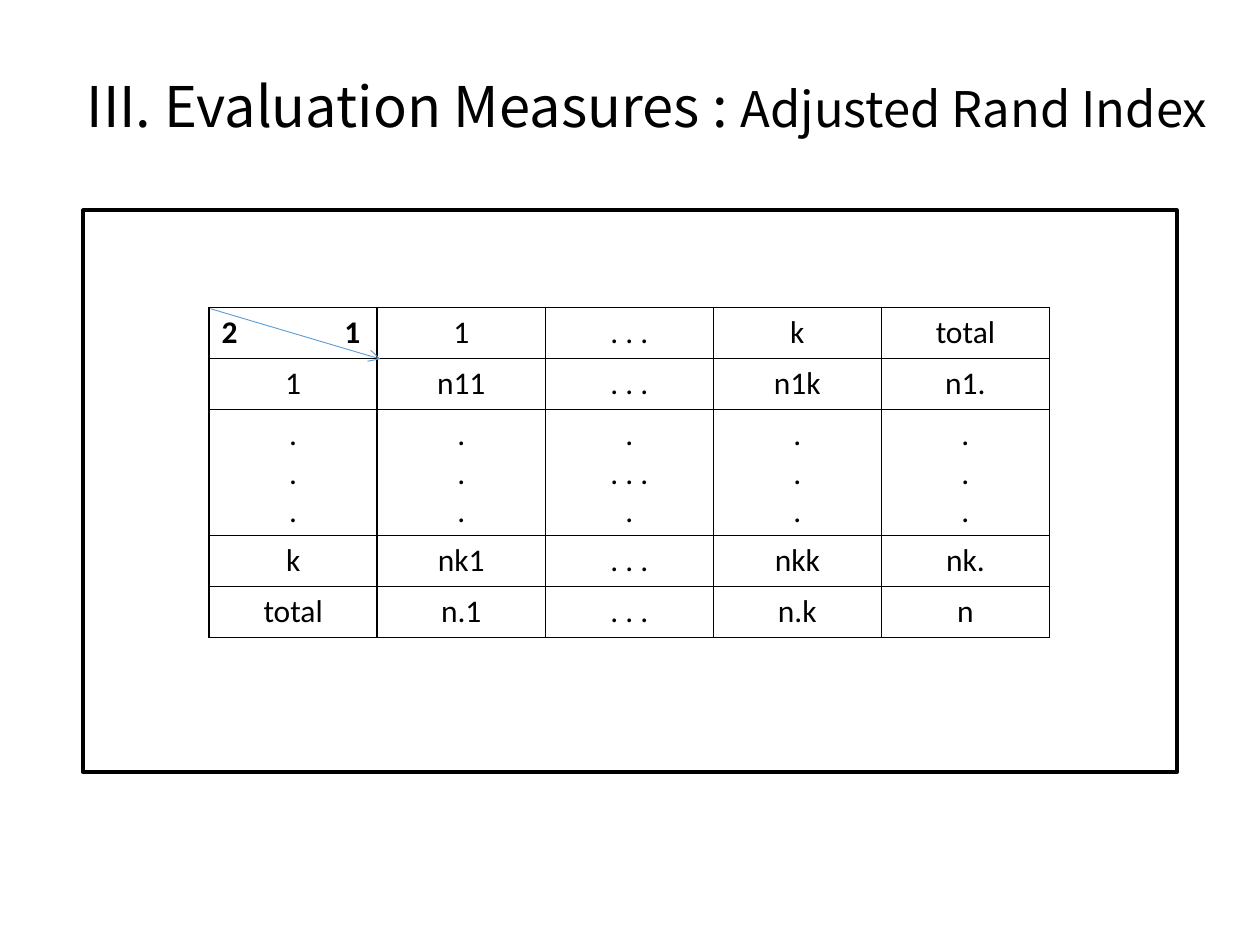
import pptx
import pptx.util
import pptx.dml.color
import pptx.enum.shapes
import pptx.enum.text
import pptx.oxml.ns
from lxml import etree

Inches, Pt = pptx.util.Inches, pptx.util.Pt
qn = pptx.oxml.ns.qn

# Content
TITLE = [("III. Evaluation Measures : ", 32), ("Adjusted Rand Index", 28)]
DOTS = ". . ."
COLUMN_DOTS = ".\n.\n."
CONTINGENCY = [
    ["2\t1", "1", DOTS, "k", "total"],
    ["1", "n11", DOTS, "n1k", "n1."],
    [COLUMN_DOTS, COLUMN_DOTS, f".\n{DOTS}\n.", COLUMN_DOTS, COLUMN_DOTS],
    ["k", "nk1", DOTS, "nkk", "nk."],
    ["total", "n.1", DOTS, "n.k", "n"],
]
COLORS = {"ink": "000000", "paper": "FFFFFF", "arrow": "5B9BD5"}
TABLE_LEFT, TABLE_TOP, TABLE_WIDTH = 1.66, 2.44, 6.67
ROW_HEIGHTS = [0.405, 0.405, 1.0, 0.405, 0.405]
COLUMN_WIDTH = TABLE_WIDTH / len(CONTINGENCY[0])


def color(name):
    return pptx.dml.color.RGBColor.from_string(COLORS[name])


def add_cell_borders(cell):
    properties = cell._tc.get_or_add_tcPr()
    for index, side in enumerate(("lnL", "lnR", "lnT", "lnB")):
        line = etree.Element(qn(f"a:{side}"), w=str(Pt(1)))
        fill = etree.SubElement(line, qn("a:solidFill"))
        etree.SubElement(fill, qn("a:srgbClr"), val=COLORS["ink"])
        properties.insert(index, line)


presentation = pptx.Presentation()
presentation.slide_width, presentation.slide_height = Inches(10), Inches(7.5)
slide = presentation.slides.add_slide(presentation.slide_layouts[6])

# Title
title = slide.shapes.add_textbox(Inches(0.59), Inches(0.52), Inches(9.14), Inches(0.64))
title.text_frame.word_wrap = True
title.text_frame.auto_size = pptx.enum.text.MSO_AUTO_SIZE.SHAPE_TO_FIT_TEXT
paragraph = title.text_frame.paragraphs[0]
paragraph.font.name = "Noto Sans CJK KR"
paragraph.font.color.rgb = color("ink")
for text, size in TITLE:
    run = paragraph.add_run()
    run.text = text
    run.font.size = Pt(size)

# Frame
frame = slide.shapes.add_shape(pptx.enum.shapes.MSO_SHAPE.RECTANGLE,
                               Inches(0.66), Inches(1.67), Inches(8.68), Inches(4.46))
frame.shadow.inherit = False
frame.fill.background()
frame.line.color.rgb = color("ink")
frame.line.width = Pt(2.25)

# Contingency table
table = slide.shapes.add_table(len(CONTINGENCY), len(CONTINGENCY[0]),
                               Inches(TABLE_LEFT), Inches(TABLE_TOP),
                               Inches(TABLE_WIDTH), Inches(sum(ROW_HEIGHTS))).table
table.first_row = table.horz_banding = False
for column in table.columns:
    column.width = Inches(COLUMN_WIDTH)
for row, height, texts in zip(table.rows, ROW_HEIGHTS, CONTINGENCY):
    row.height = Inches(height)
    for cell, text in zip(row.cells, texts):
        cell.text = text
        cell.fill.solid()
        cell.fill.fore_color.rgb = color("paper")
        add_cell_borders(cell)
        for paragraph in cell.text_frame.paragraphs:
            paragraph.alignment = pptx.enum.text.PP_ALIGN.CENTER
            paragraph.font.name = "Calibri"
            paragraph.font.size = Pt(18)
            paragraph.font.color.rgb = color("ink")

# Corner cell: both labels on one line, the second at a right tab
corner = table.cell(0, 0).text_frame.paragraphs[0]
corner.alignment = pptx.enum.text.PP_ALIGN.LEFT
corner.font.bold = True
tabs = etree.Element(qn("a:tabLst"))
etree.SubElement(tabs, qn("a:tab"), pos=str(Inches(1.1)), algn="r")
corner._p.get_or_add_pPr().insert(0, tabs)

# Diagonal arrow across the corner cell
arrow = slide.shapes.add_connector(pptx.enum.shapes.MSO_CONNECTOR.STRAIGHT,
                                   Inches(1.67), Inches(2.45), Inches(3.02), Inches(2.85))
arrow.line.color.rgb = color("arrow")
arrow.line.width = Pt(0.5)
etree.SubElement(arrow.line._get_or_add_ln(), qn("a:tailEnd"), type="arrow")
etree.SubElement(arrow._element.spPr, qn("a:effectLst"))

presentation.save("out.pptx")
